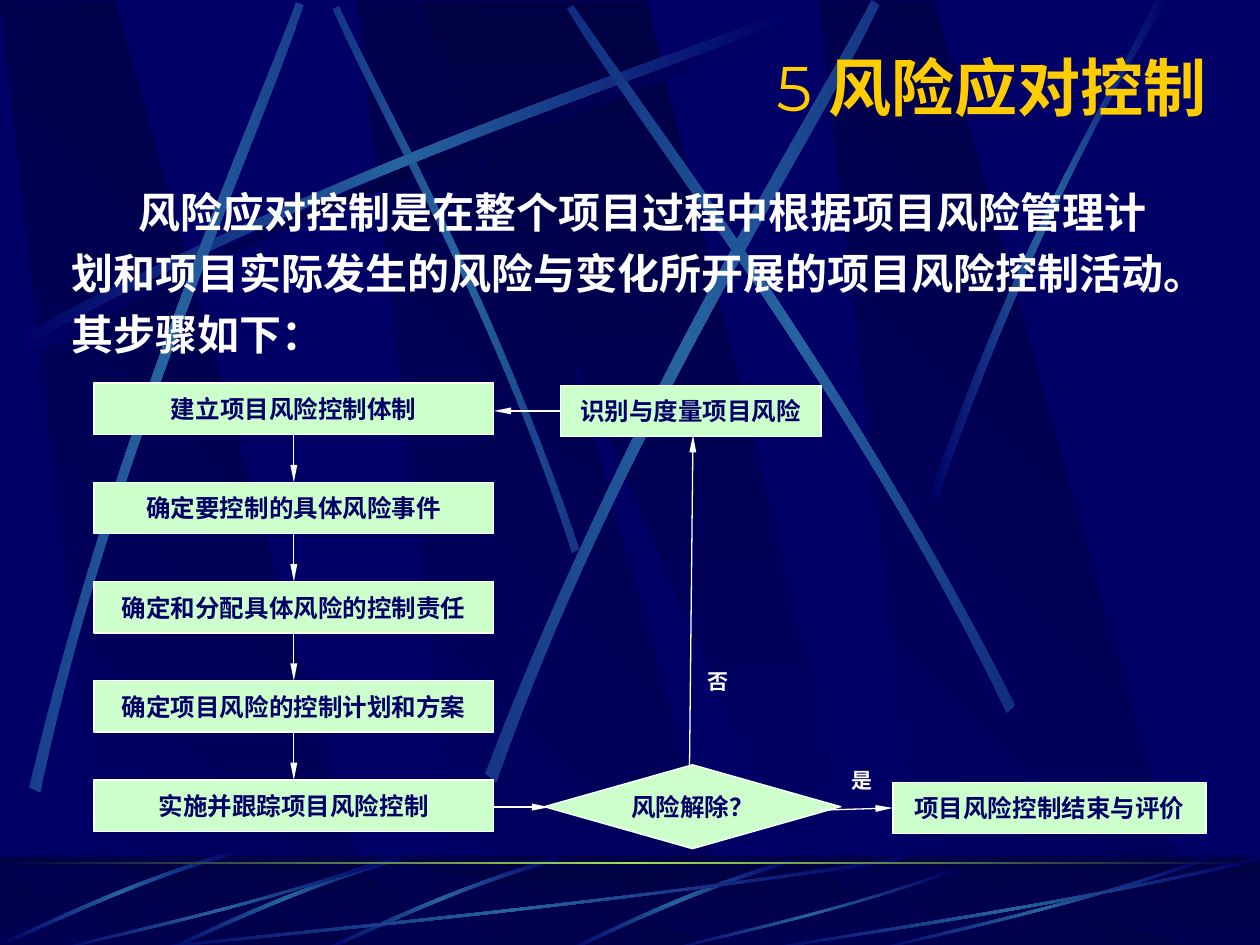
from dataclasses import dataclass
from typing import Optional

from lxml import etree
from pptx import Presentation
from pptx.dml.color import RGBColor
from pptx.enum.shapes import MSO_CONNECTOR as Connector, MSO_SHAPE as Shape
from pptx.enum.text import MSO_ANCHOR as Anchor, PP_ALIGN as Align
from pptx.oxml.ns import qn
from pptx.util import Pt

NAVY = RGBColor(0x00, 0x00, 0x66)
MIDNIGHT = RGBColor(0x00, 0x00, 0x44)
BLUE = RGBColor(0x26, 0x63, 0xA0)
LIME = RGBColor(0x9C, 0xE1, 0x57)
MINT = RGBColor(0xCC, 0xFF, 0xCC)
GOLD = RGBColor(0xFF, 0xCC, 0x00)
WHITE = RGBColor(0xFF, 0xFF, 0xFF)
TOP, LEFT, BOTTOM, RIGHT = range(4)
PAGE_WIDTH, PAGE_HEIGHT = 720, 540
FLOOR_TOP = 489.6
Points = list[tuple[float, float]]


@dataclass
class Ribbon:
    near: Points  # control points of one edge
    far: Points  # control points of the edge back
    glow: float = 0  # how bright the ends stay
    middle: RGBColor = BLUE

    def moved(self, dx: float, dy: float, middle: RGBColor = BLUE) -> "Ribbon":
        near, far = ([(x + dx, y + dy) for x, y in edge] for edge in (self.near, self.far))
        return Ribbon(near, far, self.glow, middle)


@dataclass
class Node:
    text: str
    left: float
    top: float
    width: float
    height: float = 29.4
    kind: Shape = Shape.RECTANGLE


@dataclass
class Label:
    text: str
    left: float
    top: float


@dataclass
class Joint:
    x: float = 0
    y: float = 0
    shape: Optional[object] = None  # joined to this shape if given
    side: int = TOP


SWEEP = Ribbon([(14.4, 198), (204.5, 96.5), (377.3, 42.5), (450.7, 13)],
               [(452.9, 17.3), (380.2, 49.7), (182.9, 108.7), (16.6, 205.2)], middle=MIDNIGHT)
WALL_RIBBONS = [
    SWEEP,
    Ribbon([(331.2, 313.9), (281.5, 168.5), (217.4, 55.4), (193.7, 3.6)],
           [(190.1, 5), (212.4, 56.9), (286.6, 185.8), (326.9, 316.1)], 0.55),
    SWEEP.moved(-4.3, -5.8),
    Ribbon([(16.6, 450), (67, 240.5), (141.8, 75.6), (169.2, 1.4)],
           [(173.5, 2.9), (149, 77.8), (61.9, 265), (23, 452.9)], 0.64),
    Ribbon([(277.2, 442.1), (358.6, 230.4), (459.4, 73.4), (498.2, 0)],
           [(502.6, 2.9), (467.3, 77.8), (349.9, 255.6), (283.7, 447.1)], 0.54),
    Ribbon([(580.3, 403.2), (482.4, 211), (371.5, 68.4), (327.6, 2.9)],
           [(324, 5), (365, 72.7), (493.2, 234), (575.3, 407.5)], 0.45),
    Ribbon([(531.4, 283), (586.1, 124.6), (639.4, 47.5), (660.2, 0)],
           [(667.4, 0), (601.9, 104.4), (553.7, 231.8), (535.7, 285.8)]),
]
SHORT = Ribbon([(228.2, 489.6), (165.6, 507.6), (116.6, 532.8), (94.3, 542.2)],
               [(95, 543.6), (117.4, 535), (172.8, 506.2), (229.7, 491.8)])


def streak(left: float, width: float, top: float = FLOOR_TOP) -> Ribbon:
    """A flat floor ribbon, stretched to the given width."""
    height = 543.6 - top
    near = [(1, 0.04), (0.57, 0.57), (0.17, 0.85), (0.01, 1)]
    far = [(0, 0.99), (0.17, 0.81), (0.62, 0.51), (1, 0)]
    return Ribbon(*([(left + x * width, top + y * height) for x, y in edge] for edge in (near, far)))


FLOOR_RIBBONS = [
    Ribbon([(451.4, 491), (386.6, 510.5), (343.4, 534.2), (322.6, 542.9)],
           [(326.2, 543.6), (352.8, 530.6), (411.1, 504), (452.2, 493.2)]),
    SHORT.moved(90, 0), SHORT, SHORT.moved(-93, -4),
    streak(72, 444), streak(30, 192), streak(379.5, 166.5, 496), streak(498, 192), streak(432, 288),
]


def blend(start: RGBColor, end: RGBColor, share: float) -> RGBColor:
    return RGBColor(*(round(a + (b - a) * share) for a, b in zip(start, end)))


def fill_gradient(shape, colors: list[RGBColor], angle: int) -> None:
    shape.shadow.inherit = False
    shape.line.fill.background()
    shape.fill.gradient()
    gradient = shape.fill._xPr.find(qn("a:gradFill"))
    stops = gradient.find(qn("a:gsLst"))
    for stop in list(stops):
        stops.remove(stop)
    for index, color in enumerate(colors):
        position = str(100000 * index // (len(colors) - 1))
        stop = etree.SubElement(stops, qn("a:gs"), pos=position)
        etree.SubElement(stop, qn("a:srgbClr"), val=str(color))
    gradient.find(qn("a:lin")).set("ang", str(angle * 60000))


def draw_outline(page, points: Points, colors: list[RGBColor], angle: int):
    corners = [(Pt(x), Pt(y)) for x, y in points]
    builder = page.shapes.build_freeform(*corners[0], scale=1.0)
    builder.add_line_segments(corners[1:], close=True)
    shape = builder.convert_to_shape()
    fill_gradient(shape, colors, angle)
    return shape


def draw_ribbon(page, ribbon: Ribbon) -> None:
    end = blend(NAVY, ribbon.middle, ribbon.glow)
    shape = draw_outline(page, ribbon.near + ribbon.far, [end, ribbon.middle, end], 0)
    # Turn the three segments of each edge into one cubic curve
    segments = list(shape._element.iter(qn("a:lnTo")))
    for edge in (segments[0:3], segments[4:7]):
        curve = etree.Element(qn("a:cubicBezTo"))
        edge[0].addprevious(curve)
        for segment in edge:
            curve.append(segment[0])
            segment.getparent().remove(segment)


def draw_panels(page, top: float, height: float) -> None:
    bottom = top + height
    for left in (204, 0, 468):
        corners = [(left + 62, bottom), (left + 217.5, bottom), (left + 65.5, top), (left, top)]
        draw_outline(page, corners, [MIDNIGHT, NAVY], 135)
    corners = [(240, top), (474, bottom), (500, bottom), (369.5, top)]
    draw_outline(page, corners, [MIDNIGHT, NAVY], 90)


def draw_band(page, top: float, height: float):
    return page.shapes.add_shape(Shape.RECTANGLE, 0, Pt(top), Pt(PAGE_WIDTH), Pt(height))


def format_run(span, size: float, color: RGBColor, bold: bool = True, font: str = "Arial") -> None:
    span.font.size, span.font.bold, span.font.name = Pt(size), bold, font
    span.font.color.rgb = color


def fill_text(shape, text: str, size: float, color: RGBColor) -> None:
    frame = shape.text_frame
    frame.text, frame.word_wrap, frame.vertical_anchor = text, False, Anchor.MIDDLE
    para = frame.paragraphs[0]
    para.alignment = Align.CENTER
    format_run(para.runs[0], size, color)


def draw_node(page, node: Node):
    box = page.shapes.add_shape(node.kind, Pt(node.left), Pt(node.top), Pt(node.width), Pt(node.height))
    box.shadow.inherit = False
    box.fill.solid()
    box.fill.fore_color.rgb = MINT
    box.line.color.rgb, box.line.width = WHITE, Pt(0.75)
    fill_text(box, node.text, 14, NAVY)
    return box


def draw_arrow(page, start: Joint, end: Joint) -> None:
    arrow = page.shapes.add_connector(Connector.STRAIGHT, Pt(start.x), Pt(start.y), Pt(end.x), Pt(end.y))
    if start.shape is not None:
        arrow.begin_connect(start.shape, start.side)
    if end.shape is not None:
        arrow.end_connect(end.shape, end.side)
    arrow.line.color.rgb, arrow.line.width = WHITE, Pt(0.75)
    etree.SubElement(arrow.line._get_or_add_ln(), qn("a:tailEnd"), type="triangle", w="sm", len="lg")
    etree.SubElement(arrow._element.spPr, qn("a:effectLst"))


def draw_background(page, master) -> None:
    """Draw the scenery, then hand it over to the slide master."""
    master.background.fill.solid()
    master.background.fill.fore_color.rgb = NAVY
    draw_panels(page, 0.5, 541)
    for ribbon in WALL_RIBBONS:
        draw_ribbon(page, ribbon)
    # Floor with a half transparent veil
    fill_gradient(draw_band(page, FLOOR_TOP, 54), [MIDNIGHT, NAVY], 90)
    draw_panels(page, 495.4, 47.5)
    veil = draw_band(page, 489, 54)
    veil.shadow.inherit = False
    veil.line.fill.background()
    veil.fill.solid()
    veil.fill.fore_color.rgb = MIDNIGHT
    etree.SubElement(veil.fill._xPr.find(qn("a:solidFill"))[0], qn("a:alpha"), val="50000")
    for ribbon in FLOOR_RIBBONS:
        draw_ribbon(page, ribbon)
    fill_gradient(draw_band(page, 492.4, 1.6), [MIDNIGHT, LIME, MIDNIGHT], 0)
    # Behind the master's placeholders, with ids of their own
    for index, shape in enumerate(list(page.shapes)):
        shape._element.nvSpPr.cNvPr.set("id", str(100 + index))
        master.shapes._spTree.insert(2 + index, shape._element)


def draw_texts(page) -> None:
    title = page.shapes.add_textbox(Pt(84.6), Pt(24.3), Pt(612), Pt(50.4)).text_frame
    title.word_wrap, title.vertical_anchor = True, Anchor.MIDDLE
    para = title.paragraphs[0]
    para.alignment = Align.RIGHT
    for text, bold in (("5 ", False), ("风险应对控制", True)):
        span = para.add_run()
        span.text = text
        format_run(span, 36, GOLD, bold, "Montserrat")
    body = page.shapes.add_textbox(Pt(34), Pt(103), Pt(672.5), Pt(365)).text_frame
    body.word_wrap = True
    body.text = ("风险应对控制是在整个项目过程中根据项目风险管理计\n"
                 "划和项目实际发生的风险与变化所开展的项目风险控制活动。\n其步骤如下：")
    for para in body.paragraphs:
        para.space_before = Pt(6)
        format_run(para.runs[0], 24, WHITE)
    body.paragraphs[0]._p.get_or_add_pPr().set("indent", str(Pt(38)))


def draw_flow(page) -> None:
    step_texts = ["建立项目风险控制体制", "确定要控制的具体风险事件", "确定和分配具体风险的控制责任",
                  "确定项目风险的控制计划和方案", "实施并跟踪项目风险控制"]
    steps = [draw_node(page, Node(text, 53.8, 218.9 + 56.7 * row, 228.2))
             for row, text in enumerate(step_texts)]
    draw_node(page, Node("风险解除？", 311, 437, 169.5, 48, Shape.DIAMOND))
    identify = draw_node(page, Node("识别与度量项目风险", 320.2, 220.1, 149))
    finish = draw_node(page, Node("项目风险控制结束与评价", 510.2, 447, 179))
    # Arrows
    for upper, lower in zip(steps, steps[1:]):
        draw_arrow(page, Joint(shape=upper, side=BOTTOM), Joint(shape=lower, side=TOP))
    draw_arrow(page, Joint(282.2, 461.2), Joint(313.9, 461.2))
    draw_arrow(page, Joint(468, 463), Joint(shape=finish, side=LEFT))
    draw_arrow(page, Joint(shape=identify, side=LEFT), Joint(282.2, 234.8))
    draw_arrow(page, Joint(394, 440), Joint(396, 248.6))
    for label in (Label("是", 479.5, 435), Label("否", 397.2, 378.4)):
        box = page.shapes.add_textbox(Pt(label.left), Pt(label.top), Pt(26), Pt(21.6))
        fill_text(box, label.text, 12, WHITE)


def main() -> None:
    deck = Presentation()
    deck.slide_width, deck.slide_height = Pt(PAGE_WIDTH), Pt(PAGE_HEIGHT)
    page = deck.slides.add_slide(deck.slide_layouts[6])
    draw_background(page, deck.slide_master)
    draw_texts(page)
    draw_flow(page)
    deck.save("out.pptx")


if __name__ == "__main__":
    main()
